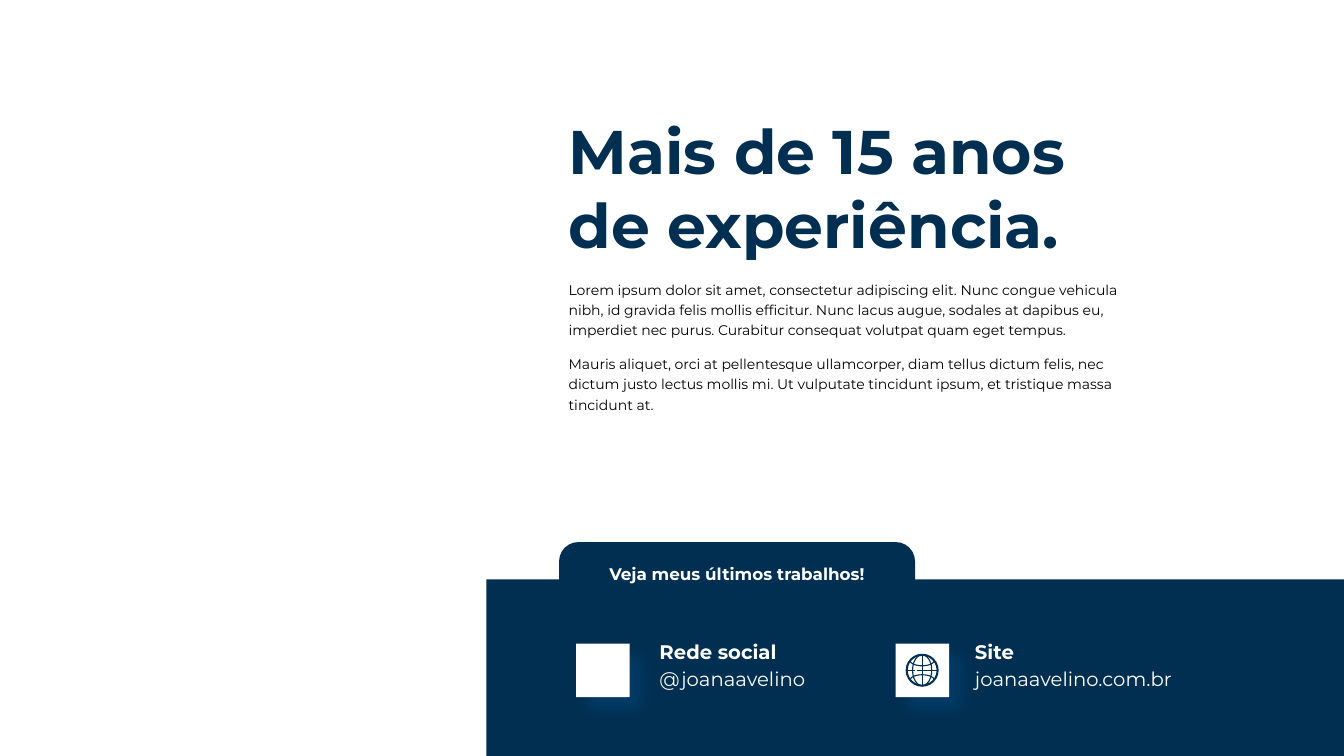
import math
import pptx
import pptx.util
import pptx.dml.color
import pptx.enum.shapes
import pptx.enum.text
import pptx.oxml
import pptx.oxml.ns
from pptx.util import Cm, Pt

INK = {"navy": "002F51", "white": "FFFFFF", "black": "000000", "glow": "075088"}
KIND = pptx.enum.shapes.MSO_SHAPE
ALIGN = pptx.enum.text.PP_ALIGN
NS = pptx.oxml.ns.nsdecls("a")


def tint(name):
    return pptx.dml.color.RGBColor.from_string(INK[name])


def block(shapes, box, color, kind=KIND.RECTANGLE):
    shape = shapes.add_shape(kind, *map(Cm, box))
    shape.shadow.inherit = False
    shape.fill.solid()
    shape.fill.fore_color.rgb = tint(color)
    shape.line.fill.background()
    return shape


def write(shapes, box, text, size, color, bold=False, align=ALIGN.LEFT,
          lead=None, gap=0):
    frame = shapes.add_textbox(*map(Cm, box)).text_frame
    frame.word_wrap = True
    frame.text = text
    for i, para in enumerate(frame.paragraphs):
        para.alignment = align
        if lead:
            para.line_spacing = lead
        if i:
            para.space_before = Pt(gap)
        for run in para.runs:
            run.font.name = "Montserrat"
            run.font.size = Pt(size)
            run.font.bold = bold
            run.font.color.rgb = tint(color)


def glow(shape):
    """Give the shape a soft shadow to the lower right."""
    props = shape.fill._xPr
    props.remove(props.find(pptx.oxml.ns.qn("a:effectLst")))
    props.append(pptx.oxml.parse_xml(
        f'<a:effectLst {NS}><a:outerShdw blurRad="{Pt(11)}" dist="{Pt(12)}" '
        f'dir="2700000" algn="tl" rotWithShape="0"><a:srgbClr val="{INK["glow"]}">'
        '<a:alpha val="40000"/></a:srgbClr></a:outerShdw></a:effectLst>'))


def stroke(shape, width):
    shape.line.color.rgb = tint("navy")
    shape.line.width = Pt(width)


def globe(shapes, x, y, rad):
    """Draw a wire globe around the centre x, y."""
    group = shapes.add_group_shape().shapes
    for wide, width in ((rad, 1.45), (rad * 0.62, 0.8)):
        ring = block(group, (x - wide, y - rad, 2 * wide, 2 * rad), "white", KIND.OVAL)
        ring.fill.background()
        stroke(ring, width)
    for x1, y1, x2, y2 in ((0, -1, 0, 1), (-1, 0, -0.45, 0), (-0.32, 0, 1, 0)):
        ends = (x + x1 * rad, y + y1 * rad, x + x2 * rad, y + y2 * rad)
        line = group.add_connector(pptx.enum.shapes.MSO_CONNECTOR.STRAIGHT,
                                   *map(Cm, ends))
        line.line._get_or_add_ln().getparent().append(
            pptx.oxml.parse_xml(f"<a:effectLst {NS}/>"))
        stroke(line, 0.8)
    for side in (-1, 1):
        dots = [(Cm(x + 0.78 * rad * math.cos(math.pi * i / 16)),
                 Cm(y + side * rad * (0.63 - 0.34 * math.sin(math.pi * i / 16))))
                for i in range(17)]
        path = group.build_freeform(*dots[0])
        path.add_line_segments(dots[1:], close=False)
        arc = path.convert_to_shape()
        arc.shadow.inherit = False
        arc.fill.background()
        stroke(arc, 0.8)


def story(shapes, x, y, wide):
    write(shapes, (x, y, wide, 3.51), "Mais de 15 anos de experiência.",
          44, "navy", True)
    write(shapes, (x, y + 4.16, wide, 3.91),
          "Lorem ipsum dolor sit amet, consectetur adipiscing elit. Nunc congue "
          "vehicula nibh, id gravida felis mollis efficitur. Nunc lacus augue, "
          "sodales at dapibus eu, imperdiet nec purus. Curabitur consequat "
          "volutpat quam eget tempus.\n"
          "Mauris aliquet, orci at pellentesque ullamcorper, diam tellus dictum "
          "felis, nec dictum justo lectus mollis mi. Ut vulputate tincidunt "
          "ipsum, et tristique massa tincidunt at.",
          10, "black", lead=1.2, gap=10)


def tab(shapes, x, y, wide, high):
    group = shapes.add_group_shape().shapes
    cap = block(group, (x, y, wide, high), "navy", KIND.ROUNDED_RECTANGLE)
    cap.adjustments[0] = 0.27
    write(group, (x + 0.55, y + 0.48, wide - 1.1, 0.86),
          "Veja meus últimos trabalhos!", 12, "white", True, ALIGN.CENTER, 0.9)


def contact(shapes, x, y, shift, wide, name, link):
    """Place a white tile with a name and a link to its right."""
    glow(block(shapes, (x, y, 1.35, 1.35), "white"))
    for i, text in enumerate((name, link)):
        write(shapes, (x + shift, y - 0.15 + 0.69 * i, wide, 0.86), text,
              14, "white", bold=not i, lead=0.9)


def footer(shapes, x, y, wide, high):
    block(shapes, (x, y, wide, high), "navy")
    tab(shapes, x + 1.83, y - 0.94, 8.97, 1.8)
    row = y + 1.62
    contact(shapes, x + 2.26, row, 1.85, 4.27, "Rede social", "@joanaavelino")
    contact(shapes, x + 10.31, row, 1.75, 6.73, "Site", "joanaavelino.com.br")
    globe(shapes, x + 10.98, row + 0.67, 0.39)


def main():
    deck = pptx.Presentation()
    deck.slide_width, deck.slide_height = Cm(33.87), Cm(19.05)
    shapes = deck.slides.add_slide(deck.slide_layouts[6]).shapes
    footer(shapes, 12.26, 14.6, 21.61, 4.45)
    story(shapes, 14.08, 2.72, 15.06)
    deck.save("out.pptx")


if __name__ == "__main__":
    main()
